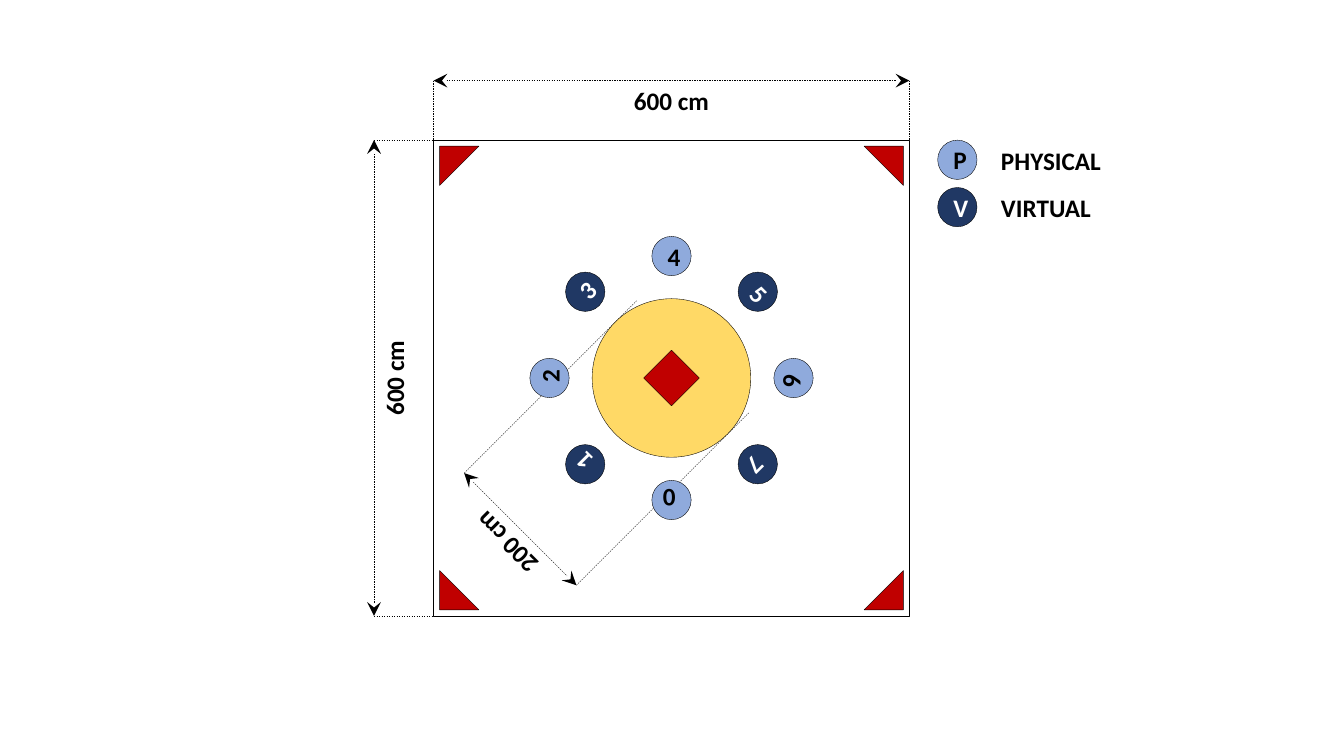
import math

from lxml import etree
from pptx import Presentation
from pptx.dml.color import RGBColor
from pptx.enum.dml import MSO_LINE
from pptx.enum.shapes import MSO_CONNECTOR, MSO_SHAPE
from pptx.enum.text import MSO_ANCHOR, MSO_AUTO_SIZE, PP_ALIGN
from pptx.oxml.ns import qn
from pptx.util import Inches, Pt

OVAL, RECTANGLE = MSO_SHAPE.OVAL, MSO_SHAPE.RECTANGLE
TRIANGLE = MSO_SHAPE.RIGHT_TRIANGLE
STRAIGHT, DASH = MSO_CONNECTOR.STRAIGHT, MSO_LINE.DASH
MIDDLE, FIT = MSO_ANCHOR.MIDDLE, MSO_AUTO_SIZE.SHAPE_TO_FIT_TEXT
LEFT, CENTER = PP_ALIGN.LEFT, PP_ALIGN.CENTER
BLACK, WHITE, RED, GOLD = "000000", "FFFFFF", "C00000", "FFD966"
PHYSICAL, VIRTUAL = ("8FAADC", BLACK), ("203864", WHITE)
ROOM_LEFT, ROOM_TOP, ROOM_SIDE = 4.3, 1.39, 4.72
MARK, LABEL_HEIGHT = 0.39, 0.4


def color(value):
    return RGBColor.from_string(value)


def write(frame, text, fill=BLACK, align=CENTER):
    para = frame.paragraphs[0]
    para.alignment = align
    span = para.add_run()
    span.text = text
    span.font.name = "Calibri"
    span.font.size = Pt(18)
    span.font.bold = True
    span.font.color.rgb = color(fill)


def add_shape(page, kind, center, side, fill=None, rotation=0):
    x, y = center
    shape = page.shapes.add_shape(kind, Inches(x - side / 2), Inches(y - side / 2),
                                  Inches(side), Inches(side))
    shape.shadow.inherit = False
    shape.rotation = rotation
    if fill:
        shape.fill.solid()
        shape.fill.fore_color.rgb = color(fill)
    else:
        shape.fill.background()
    shape.line.color.rgb = color(BLACK)
    shape.line.width = Pt(0.25)
    return shape


def add_seat(page, center, text, style, rotation=0):
    fill, ink = style
    seat = add_shape(page, OVAL, center, MARK, fill, rotation)
    seat.text_frame.vertical_anchor = MIDDLE
    write(seat.text_frame, text, fill=ink)


def add_label(page, left, top, width, text, rotation=0, wrap=True, align=CENTER):
    label = page.shapes.add_textbox(Inches(left), Inches(top), Inches(width), Inches(LABEL_HEIGHT))
    label.rotation = rotation
    label.text_frame.word_wrap = wrap
    label.text_frame.auto_size = FIT
    write(label.text_frame, text, align=align)


def add_line(page, start, end, arrows=False):
    line = page.shapes.add_connector(STRAIGHT, *map(Inches, (*start, *end)))
    line.line.color.rgb = color(BLACK)
    line.line.width = Pt(0.25)
    line.line.dash_style = DASH
    if arrows:
        outline = line.line._get_or_add_ln()
        for tag in ("a:headEnd", "a:tailEnd"):
            etree.SubElement(outline, qn(tag), type="stealth", w="lg", len="lg")
    etree.SubElement(line._element.spPr, qn("a:effectLst"))


def add_dimension(page, start, end, extension, label_shift, text, rotation=0):
    for x, y in (start, end):
        add_line(page, (x, y), (x + extension[0], y + extension[1]))
    add_line(page, start, end, arrows=True)
    width = math.dist(start, end)
    x = (start[0] + end[0]) / 2 + label_shift[0]
    y = (start[1] + end[1]) / 2 + label_shift[1]
    add_label(page, x - width / 2, y - LABEL_HEIGHT / 2, width, text, rotation=rotation)


def draw_dimensions(page, left, top, side):
    gap, label_gap = 0.59, LABEL_HEIGHT / 2
    right, bottom = left + side, top + side
    add_dimension(page, (left, top - gap), (right, top - gap), (0, gap),
                  (0, label_gap), "600 cm")
    add_dimension(page, (left - gap, bottom), (left - gap, top), (gap, 0),
                  (label_gap, 0), "600 cm", rotation=270)
    x, y = left + side / 2 - 1.5, top + side / 2 + 1.5
    half, reach, shift = side / 6 * math.sqrt(0.5), 1.71, label_gap * math.sqrt(0.5)
    add_dimension(page, (x - half, y - half), (x + half, y + half), (reach, -reach),
                  (-shift, shift), "200 cm", rotation=225)


def draw_room(page, left, top, side):
    x, y = left + side / 2, top + side / 2
    add_shape(page, RECTANGLE, (x, y), side)
    add_shape(page, OVAL, (x, y), side / 3, GOLD)
    add_shape(page, RECTANGLE, (x, y), MARK, RED, rotation=45)
    reach = side / 2 - 0.06 - MARK / 2
    for turn, (across, down) in enumerate([(-1, 1), (-1, -1), (1, -1), (1, 1)]):
        add_shape(page, TRIANGLE, (x + across * reach, y + down * reach), MARK, RED, turn * 90)
    radius = 1.21
    for number in range(8):
        rotation = (180 + 45 * number) % 360
        angle = math.radians(rotation)
        center = x + radius * math.sin(angle), y - radius * math.cos(angle)
        add_seat(page, center, str(number), VIRTUAL if number % 2 else PHYSICAL, rotation)


def draw_legend(page, left, top):
    entries = [("PHYSICAL", PHYSICAL, 1.2), ("VIRTUAL", VIRTUAL, 1.1)]
    for row, (name, style, width) in enumerate(entries):
        y = top + 0.47 * row
        add_seat(page, (left + MARK / 2, y + MARK / 2), name[0], style)
        add_label(page, left + 0.53, y, width, name, wrap=False, align=LEFT)


def main():
    deck = Presentation()
    deck.slide_width, deck.slide_height = Inches(13.33), Inches(7.5)
    page = deck.slides.add_slide(deck.slide_layouts[6])
    draw_dimensions(page, ROOM_LEFT, ROOM_TOP, ROOM_SIDE)
    draw_room(page, ROOM_LEFT, ROOM_TOP, ROOM_SIDE)
    draw_legend(page, ROOM_LEFT + ROOM_SIDE + 0.28, ROOM_TOP)
    deck.save("out.pptx")


if __name__ == "__main__":
    main()
